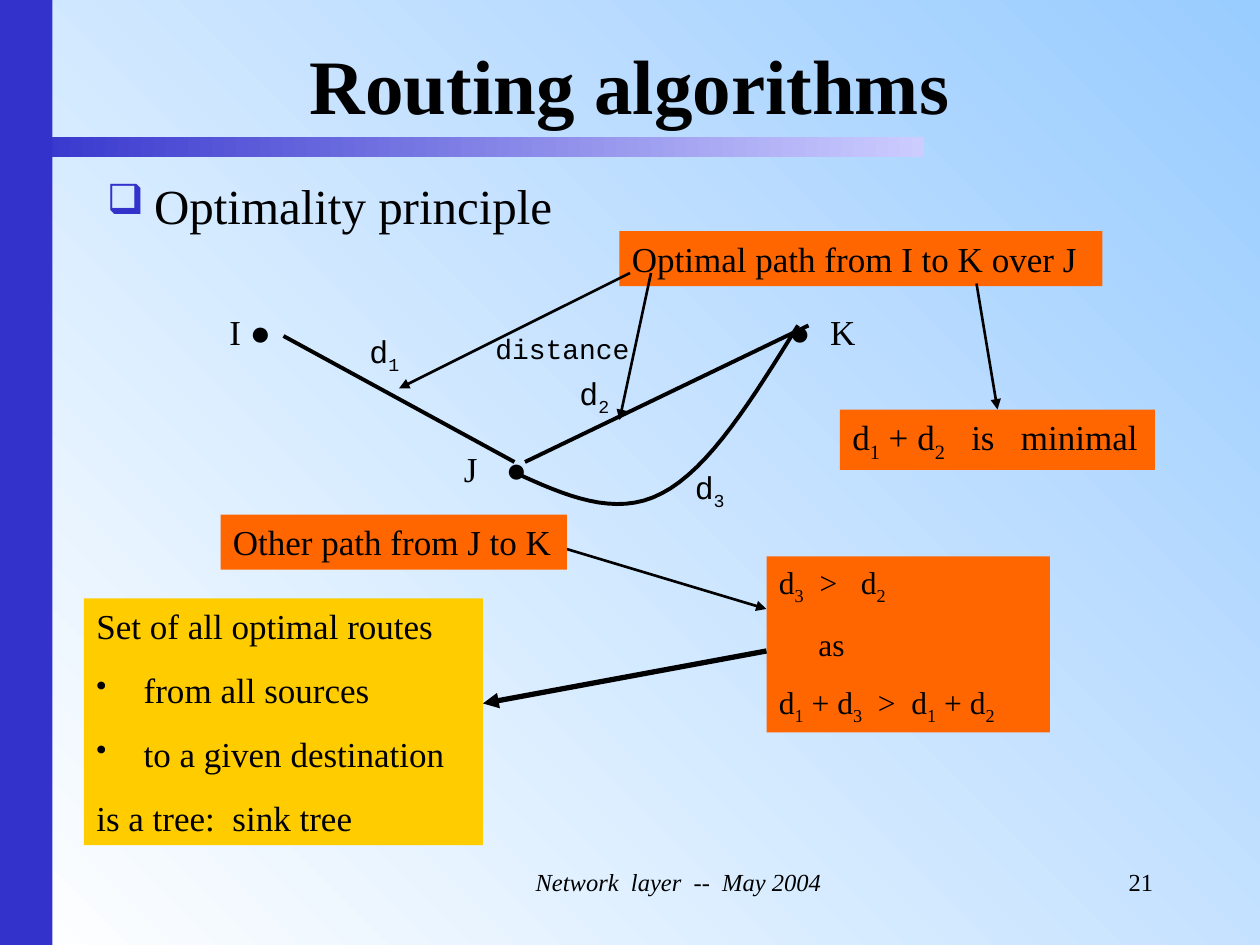
from pptx import Presentation
from pptx.dml.color import RGBColor
from pptx.enum.shapes import MSO_CONNECTOR as Link, MSO_SHAPE as Preset
from pptx.enum.text import MSO_ANCHOR as Anchor, MSO_AUTO_SIZE as Fit, PP_ALIGN as Align
from pptx.oxml.ns import qn
from pptx.util import Pt
from lxml.etree import SubElement

BLACK = RGBColor(0x00, 0x00, 0x00)
WHITE = RGBColor(0xFF, 0xFF, 0xFF)
SKY = RGBColor(0x99, 0xCC, 0xFF)
INDIGO = RGBColor(0x33, 0x33, 0xCC)
LAVENDER = RGBColor(0xCC, 0xCC, 0xFF)
ORANGE = RGBColor(0xFF, 0x66, 0x00)
YELLOW = RGBColor(0xFF, 0xCC, 0x00)
SERIF, MONO, SANS = "Times New Roman", "Courier New", "Arial"


def set_values(target, values):
    for name, value in values.items():
        setattr(target, name, value)


def paint_gradient(fill, colors, angle):
    fill.gradient()
    fill.gradient_angle = angle
    for stop, color in zip(fill.gradient_stops, colors):
        stop.color.rgb = color


def add_run(paragraph, words, style, subscript=False):
    run = paragraph.add_run()
    run.text = words
    set_values(run.font, style)
    run.font.color.rgb = BLACK
    properties = run._r.get_or_add_rPr()
    SubElement(properties, qn("a:ea"), typeface=MONO)
    if subscript:
        properties.set("baseline", "-25000")


def add_formula(paragraph, words, style):
    first, *rest = words.split("_")
    add_run(paragraph, first, style)
    for part in rest:
        add_run(paragraph, part[0], style, subscript=True)
        if part[1:]:
            add_run(paragraph, part[1:], style)


def set_indent(paragraph, margin, hanging=0):
    properties = paragraph._p.get_or_add_pPr()
    properties.set("marL", str(Pt(margin)))
    properties.set("indent", str(-Pt(hanging)))


def add_bullet(paragraph, symbol, color, margin):
    set_indent(paragraph, margin, margin)
    properties = paragraph._p.get_or_add_pPr()
    tint = SubElement(properties, qn("a:buClr"))
    SubElement(tint, qn("a:srgbClr"), val=str(color))
    SubElement(properties, qn("a:buSzPct"), val="85000")
    SubElement(properties, qn("a:buChar"), char=symbol)


def write_lines(frame, lines, size, font=SERIF, gap=0, align=Align.LEFT, **emphasis):
    set_values(frame, {"word_wrap": True, "vertical_anchor": Anchor.TOP})
    style = {"size": Pt(size), "name": font, **emphasis}
    paragraphs = [frame.paragraphs[0]] + [frame.add_paragraph() for _ in lines[1:]]
    for number, (paragraph, words) in enumerate(zip(paragraphs, lines)):
        paragraph.alignment = align
        if number:
            paragraph.space_before = Pt(gap)
        add_formula(paragraph, words, style)
    return paragraphs


def add_label(slide, place, words, size, font=SERIF, **options):
    frame = slide.shapes.add_textbox(*map(Pt, place)).text_frame
    write_lines(frame, [words], size, font, **options)
    return frame


def add_block(slide, place):
    block = slide.shapes.add_shape(Preset.RECTANGLE, *map(Pt, place))
    block.shadow.inherit = False
    block.line.fill.background()
    return block


def add_note(slide, place, color, lines, size, gap=0):
    note = add_block(slide, place)
    note.fill.solid()
    note.fill.fore_color.rgb = color
    paragraphs = write_lines(note.text_frame, lines, size, gap=gap)
    note.text_frame.auto_size = Fit.SHAPE_TO_FIT_TEXT
    return note, paragraphs


def add_line(slide, start, end, width, arrow=False):
    line = slide.shapes.add_connector(Link.STRAIGHT, *map(Pt, start + end))
    set_values(line.line, {"width": Pt(width)})
    line.line.color.rgb = BLACK
    if arrow:
        SubElement(line.line._get_or_add_ln(), qn("a:tailEnd"), type="triangle")
    SubElement(line._element.spPr, qn("a:effectLst"))
    return line


def curve_points(start, bend_out, bend_in, end, steps=16):
    for step in range(1, steps + 1):
        t = step / steps
        weights = ((1 - t) ** 3, 3 * t * (1 - t) ** 2, 3 * t * t * (1 - t), t ** 3)
        yield tuple(
            Pt(sum(w * p for w, p in zip(weights, axis)))
            for axis in zip(start, bend_out, bend_in, end)
        )


def add_curve(slide, start, *segments):
    outline = slide.shapes.build_freeform(Pt(start[0]), Pt(start[1]))
    for segment in segments:
        outline.add_line_segments(curve_points(start, *segment), close=False)
        start = segment[-1]
    curve = outline.convert_to_shape()
    curve.shadow.inherit = False
    curve.fill.background()
    curve.line.width = Pt(2.25)
    curve.line.color.rgb = BLACK


def add_frame(slide):
    paint_gradient(slide.background.fill, (WHITE, SKY), 45)
    paint_gradient(add_block(slide, (6, 78, 522, 12)).fill, (INDIGO, LAVENDER), 0)
    side = add_block(slide, (0, 0, 30, 540))
    side.fill.solid()
    side.fill.fore_color.rgb = INDIGO
    add_label(slide, (229, 492, 317.5, 36), "Network  layer  --  May 2004", 14,
              align=Align.CENTER, italic=True)
    add_label(slide, (564, 492, 102, 36), "21", 14, align=Align.RIGHT)
    title = add_label(slide, (36, 18, 648, 60), "Routing algorithms", 44,
                      align=Align.CENTER, bold=True)
    title.vertical_anchor = Anchor.MIDDLE
    topic = add_label(slide, (54, 90, 612, 390), "Optimality principle", 28).paragraphs[0]
    topic.line_spacing = 1.2
    add_bullet(topic, "❑", INDIGO, 27)


def add_nodes(slide):
    add_line(slide, (162, 192), (294, 264), 2.25)
    add_line(slide, (300, 264), (462, 186), 2.25)
    source = add_label(slide, (114, 174, 66, 31.5), "I ", 20).paragraphs[0]
    set_indent(source, 10)
    add_run(source, "●", {"size": Pt(20), "name": SANS})
    target = add_label(slide, (444, 174, 72, 31.5), "●  ", 20, SANS).paragraphs[0]
    add_run(target, "K", {"size": Pt(20), "name": SERIF})
    add_label(slide, (282, 252, 36, 31.5), "●", 20, SANS)
    add_label(slide, (258, 252, 48, 31.5), "J", 20)


def add_optimal_path(slide):
    add_note(slide, (354, 132, 276, 31.5), ORANGE, ["Optimal path from I to K over J"], 20)
    add_line(slide, (360, 156), (228, 222), 1.5, arrow=True)
    add_line(slide, (372, 156), (354, 240), 1.5, arrow=True)
    add_label(slide, (204, 186, 48, 31.5), "d_1", 18, MONO)
    add_label(slide, (324, 210, 48, 31.5), "d_2", 18, MONO)
    add_label(slide, (276, 186, 102, 26.5), "distance", 16, MONO)
    to_minimum = add_line(slide, (558, 162), (570, 234), 1.5, arrow=True)
    minimum, _ = add_note(slide, (480, 234, 180, 34.5), ORANGE,
                          ["d_1 + d_2   is   minimal"], 20)
    to_minimum.end_connect(minimum, 0)


def add_other_path(slide):
    add_line(slide, (318, 312), (438, 348), 1.5, arrow=True)
    _, proof = add_note(slide, (438, 318, 162, 100.5), ORANGE,
                        ["d_3  >   d_2", "as", "d_1 + d_3  >  d_1 + d_2"], 18, gap=11.25)
    set_indent(proof[1], 22.5)
    add_curve(slide, (294, 270),
              ((322.5, 283), (351.5, 296), (378, 282)),
              ((405.5, 268), (430.5, 227), (456, 186)))
    add_label(slide, (390, 264, 42, 31.5), "d_3", 18, MONO)
    add_note(slide, (126, 294, 198, 31.5), ORANGE, ["Other path from J to K"], 20)


def add_sink_tree(slide):
    _, routes = add_note(slide, (48, 342, 228, 141), YELLOW, [
        "Set of all optimal routes", "from all sources",
        "to a given destination", "is a tree:  sink tree"], 20, gap=12.5)
    for route in routes[1:3]:
        add_bullet(route, "•", BLACK, 27)
    add_line(slide, (438, 372), (276, 402), 3, arrow=True)


def main():
    deck = Presentation()
    set_values(deck, {"slide_width": Pt(720), "slide_height": Pt(540)})
    slide = deck.slides.add_slide(deck.slide_layouts[6])
    for add_part in (add_frame, add_nodes, add_optimal_path, add_other_path, add_sink_tree):
        add_part(slide)
    deck.save("out.pptx")


if __name__ == "__main__":
    main()
